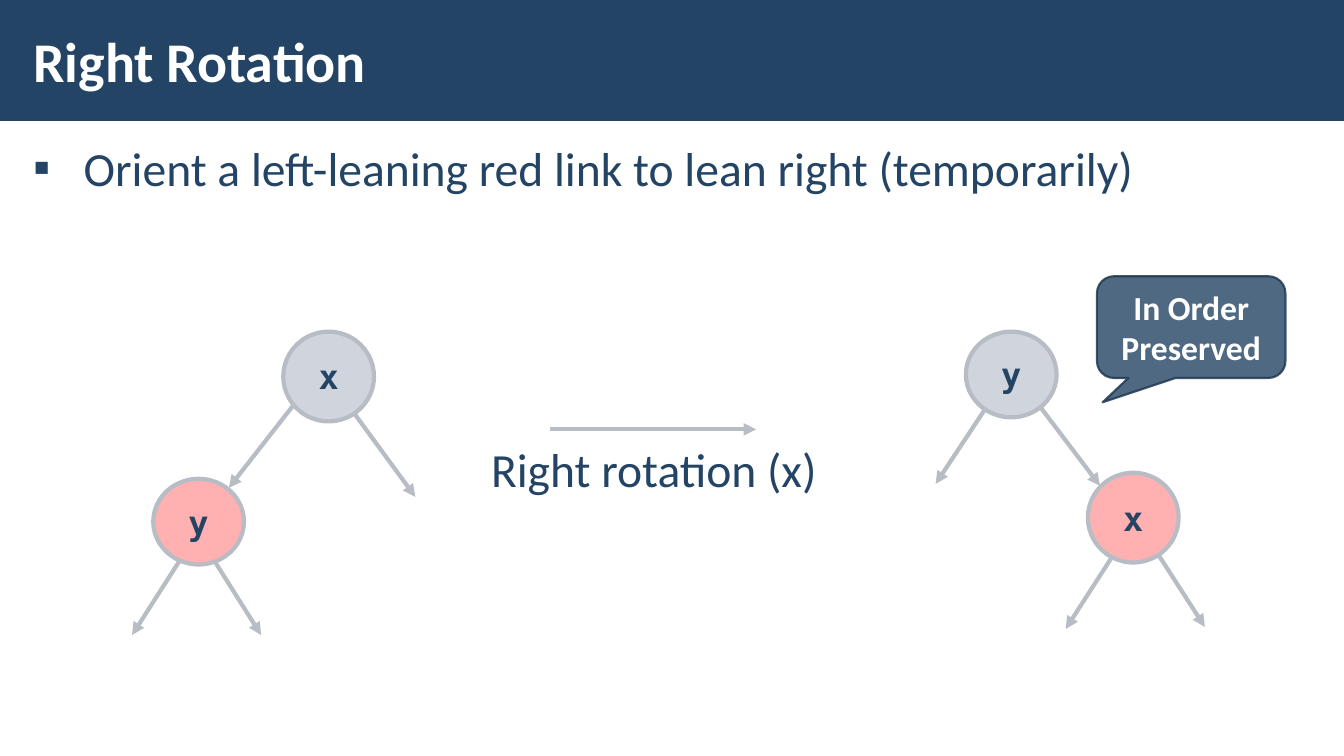
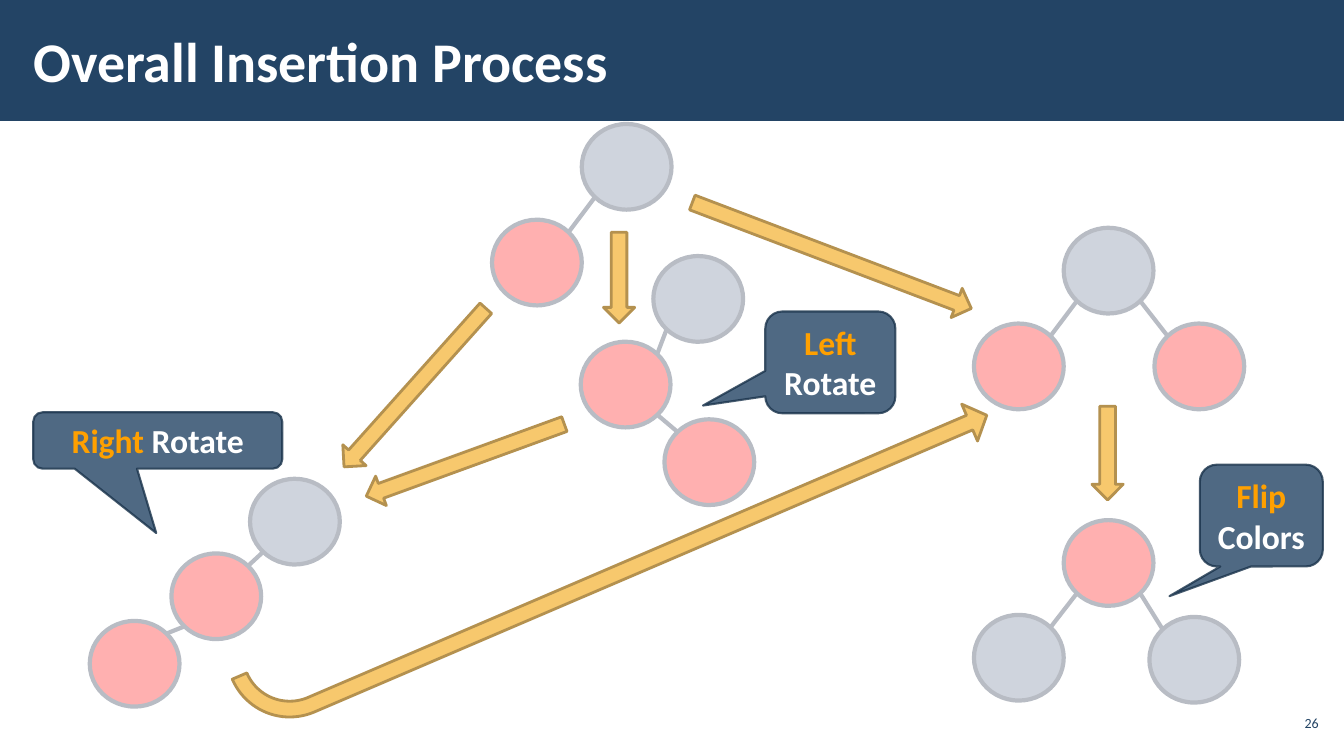
from lxml.etree import SubElement
from pptx import Presentation
from pptx.dml.color import RGBColor
from pptx.enum.shapes import MSO_CONNECTOR, MSO_SHAPE
from pptx.enum.text import MSO_ANCHOR, MSO_AUTO_SIZE, PP_ALIGN
from pptx.oxml.ns import qn
from pptx.util import Inches, Pt

COLORS = {
    "navy": "234465", "navy_edge": "1A334B", "white": "FFFFFF",
    "gray": "A1AABC", "edge": "B8BCC4", "red": "FFB0B0",
    "gold": "F7C86D", "gold_edge": "B4914F", "orange": "FFA000",
}
TEXT_FONT, NODE_FONT = "Calibri", "DejaVu Sans Mono"
NODE_WIDTH, NODE_HEIGHT = 0.89, 0.85
DIAGONAL = 0.35  # offset of a 45° rim point, as a share of the node size


def rgb(name):
    return RGBColor.from_string(COLORS[name])


def set_alpha(fill, percent):
    """Make a solid fill partly transparent."""
    color = fill._xPr.find(qn("a:solidFill"))[0]
    SubElement(color, qn("a:alpha"), val=str(percent * 1000))


def style_font(font, size, color="navy", bold=False, name=TEXT_FONT):
    font.name, font.size, font.bold = name, Pt(size), bold
    font.color.rgb = rgb(color)


def set_frame(frame, horizontal, vertical, anchor=MSO_ANCHOR.MIDDLE):
    frame.margin_left = frame.margin_right = Inches(horizontal)
    frame.margin_top = frame.margin_bottom = Inches(vertical)
    frame.vertical_anchor = anchor
    frame.word_wrap = True
    frame.auto_size = MSO_AUTO_SIZE.NONE


def place(shape, left, top, width, height):
    shape.left, shape.top = Inches(left), Inches(top)
    shape.width, shape.height = Inches(width), Inches(height)


def add_figure(slide, kind, box, fill, line=None, weight=0, alpha=100):
    shape = slide.shapes.add_shape(kind, *map(Inches, box))
    shape.shadow.inherit = False
    shape.fill.solid()
    shape.fill.fore_color.rgb = rgb(fill)
    if line:
        shape.line.color.rgb = rgb(line)
        shape.line.width = Pt(weight)
    else:
        shape.line.fill.background()
    if alpha < 100:
        set_alpha(shape.fill, alpha)
    return shape


def set_up_master(presentation, slide):
    """Put the title band and the title position on the slide master."""
    master = presentation.slide_master
    band = add_figure(slide, MSO_SHAPE.RECTANGLE, (0, 0, 13.33, 1.2), "navy")
    master.shapes._spTree.insert(2, band._element)
    place(master.placeholders[0], 0.21, 0.11, 10.4, 0.97)


def set_title(slide, text):
    frame = slide.shapes.title.text_frame
    set_frame(frame, 0.12, 0.04)
    paragraph = frame.paragraphs[0]
    paragraph.text = text
    paragraph.alignment = PP_ALIGN.LEFT
    style_font(paragraph.font, 40, "white", bold=True)


def set_bullet(slide, text):
    body = slide.placeholders[1]
    place(body, 0.21, 1.31, 12.92, 5.69)
    set_frame(body.text_frame, 0.12, 0.04, MSO_ANCHOR.TOP)
    paragraph = body.text_frame.paragraphs[0]
    paragraph.text = text
    paragraph.line_spacing = 1.05
    paragraph.space_before = Pt(0)
    style_font(paragraph.font, 34)
    properties = paragraph._p.get_or_add_pPr()
    properties.set("marL", str(Inches(0.5)))
    properties.set("indent", str(Inches(-0.5)))
    # Bullet elements come before the default run properties
    run_defaults = properties.find(qn("a:defRPr"))
    color = SubElement(properties, qn("a:buClr"))
    SubElement(color, qn("a:srgbClr"), val=COLORS["navy"])
    SubElement(properties, qn("a:buFont"), typeface=TEXT_FONT)
    SubElement(properties, qn("a:buChar"), char="▪")
    if run_defaults is not None:
        properties.append(run_defaults)


def add_label(slide, box, text, size, alignment, margin=0.12,
              anchor=MSO_ANCHOR.TOP, spacing=1.0):
    frame = slide.shapes.add_textbox(*map(Inches, box)).text_frame
    set_frame(frame, margin, 0.04, anchor)
    paragraph = frame.paragraphs[0]
    paragraph.text = text
    paragraph.alignment = alignment
    paragraph.line_spacing = spacing
    style_font(paragraph.font, size)


def add_node(slide, left, top, is_red, text="", width=NODE_WIDTH, height=NODE_HEIGHT):
    fill, alpha = ("red", 100) if is_red else ("gray", 50)
    node = add_figure(slide, MSO_SHAPE.OVAL, (left, top, width, height),
                      fill, "edge", 3, alpha)
    if text:
        set_frame(node.text_frame, 0.1, 0.05)
        paragraph = node.text_frame.paragraphs[0]
        paragraph.text = text
        paragraph.alignment = PP_ALIGN.CENTER
        style_font(paragraph.font, 24, bold=True, name=NODE_FONT)


def add_line(slide, start, end, arrow=False):
    line = slide.shapes.add_connector(MSO_CONNECTOR.STRAIGHT, *map(Inches, (*start, *end)))
    line.line.color.rgb = rgb("edge")
    line.line.width = Pt(3)
    if arrow:
        SubElement(line.line._get_or_add_ln(), qn("a:tailEnd"), type="triangle")
    SubElement(line._element.spPr, qn("a:effectLst"))


def add_tree(slide, nodes, links):
    """Draw (left, top, is_red) nodes and link each parent to its child."""
    for node in nodes:
        add_node(slide, *node)
    for parent, child in links:
        (left, top, _), (child_left, child_top, _) = nodes[parent], nodes[child]
        side = 1 if child_left > left else -1
        across, down = DIAGONAL * NODE_WIDTH, DIAGONAL * NODE_HEIGHT
        middle_x, middle_y = NODE_WIDTH / 2, NODE_HEIGHT / 2
        add_line(slide,
                 (left + middle_x + side * across, top + middle_y + down),
                 (child_left + middle_x - side * across, child_top + middle_y - down))


def add_block_arrow(slide, box, rotation, kind=MSO_SHAPE.RIGHT_ARROW, adjustments=(0.5, 0.5)):
    arrow = add_figure(slide, kind, box, "gold", "gold_edge", 2)
    arrow.rotation = rotation
    for index, value in enumerate(adjustments):
        arrow.adjustments[index] = value
    return arrow


def add_callout(slide, box, pointer, lines):
    """Add a speech bubble; each line is a list of (text, colour) runs."""
    callout = add_figure(slide, MSO_SHAPE.ROUNDED_RECTANGULAR_CALLOUT, box,
                         "navy", "navy_edge", 1.5, 80)
    set_alpha(callout.line.fill, 80)
    for index, value in enumerate((*pointer, 0.167)):
        callout.adjustments[index] = value
    frame = callout.text_frame
    set_frame(frame, 0.1, 0.05)
    for index, runs in enumerate(lines):
        paragraph = frame.add_paragraph() if index else frame.paragraphs[0]
        paragraph.alignment = PP_ALIGN.CENTER
        for text, color in runs:
            run = paragraph.add_run()
            run.text = text
            style_font(run.font, 24, color, bold=True)


def build_rotation(slide):
    set_title(slide, "Right Rotation")
    set_bullet(slide, "Orient a left-leaning red link to lean right (temporarily)")
    add_label(slide, (4.13, 4.37, 4.71, 0.65), "Right rotation (x)", 34,
              PP_ALIGN.CENTER, spacing=0.95)
    add_callout(slide, (10.88, 2.74, 1.87, 1.01), (-0.47, 0.739),
                [[("In Order Preserved", "white")]])

    # Trees before and after the rotation
    for left, top, is_red, text, height in [
        (2.81, 3.29, False, "x", 0.89), (1.52, 4.75, True, "y", 0.85),
        (9.58, 3.29, False, "y", 0.85), (10.79, 4.69, True, "x", 0.89),
    ]:
        add_node(slide, left, top, is_red, text, 0.9, height)
    for start, end in [
        ((5.46, 4.26), (7.5, 4.26)),
        ((2.91, 4.02), (2.27, 4.84)), ((3.52, 4.11), (4.12, 4.93)),
        ((1.79, 5.55), (1.31, 6.3)), ((2.13, 5.57), (2.59, 6.3)),
        ((9.77, 4.06), (9.28, 4.8)), ((10.32, 4.04), (10.91, 4.82)),
        ((11.02, 5.54), (10.57, 6.24)), ((11.48, 5.49), (11.95, 6.22)),
    ]:
        add_line(slide, start, end, arrow=True)


def build_insertion(slide):
    set_title(slide, "Overall Insertion Process")
    add_label(slide, (12.65, 7, 0.47, 0.34), "26", 10, PP_ALIGN.RIGHT,
              margin=0.04, anchor=MSO_ANCHOR.MIDDLE)

    # Start, left-rotate, right-rotate, two red children, flipped colours
    chain, fork = [(0, 1), (1, 2)], [(0, 1), (0, 2)]
    for nodes, links in [
        ([(5.77, 1.23, False), (4.88, 2.18, True)], [(0, 1)]),
        ([(6.48, 2.54, False), (5.76, 3.39, True), (6.59, 4.16, True)], chain),
        ([(2.48, 4.75, False), (1.7, 5.49, True), (0.89, 6.16, True)], chain),
        ([(10.55, 2.26, False), (9.66, 3.21, True), (11.45, 3.21, True)], fork),
        ([(10.55, 5.16, True), (9.66, 6.1, False), (11.4, 6.12, False)], fork),
    ]:
        add_tree(slide, nodes, links)

    # Steps between the trees
    for left, top, width, rotation in [
        (6.77, 2.38, 2.96, 20.8), (3.06, 3.69, 2.11, 131.8), (5.69, 2.6, 0.9, 90),
        (3.57, 4.41, 2.09, 160), (10.52, 4.34, 0.93, 90),
    ]:
        add_block_arrow(slide, (left, top, width, 0.31), rotation)
    bent = add_block_arrow(slide, (2.13, 5.15, 7.91, 0.74), 156.8,
                           MSO_SHAPE.BENT_ARROW, (0.212, 0.269, 0.25, 0.856))
    bent._element.spPr.find(qn("a:xfrm")).set("flipH", "1")

    # Names of the operations
    for box, pointer, lines in [
        ((0.33, 4.09, 2.47, 0.56), (-0.006, 1.641),
         [[("Right", "orange"), (" Rotate", "white")]]),
        ((7.59, 3.09, 1.29, 1.01), (-0.979, 0.424),
         [[("Left", "orange")], [("Rotate", "white")]]),
        ((11.9, 4.61, 1.22, 1.01), (-0.747, 0.792),
         [[("Flip", "orange")], [("Colors", "white")]]),
    ]:
        add_callout(slide, box, pointer, lines)


def main():
    presentation = Presentation()
    presentation.slide_width, presentation.slide_height = Inches(13.33), Inches(7.5)
    layouts = presentation.slide_layouts
    rotation = presentation.slides.add_slide(layouts.get_by_name("Title and Content"))
    insertion = presentation.slides.add_slide(layouts.get_by_name("Title Only"))
    set_up_master(presentation, rotation)
    build_rotation(rotation)
    build_insertion(insertion)
    presentation.save("out.pptx")


if __name__ == "__main__":
    main()
